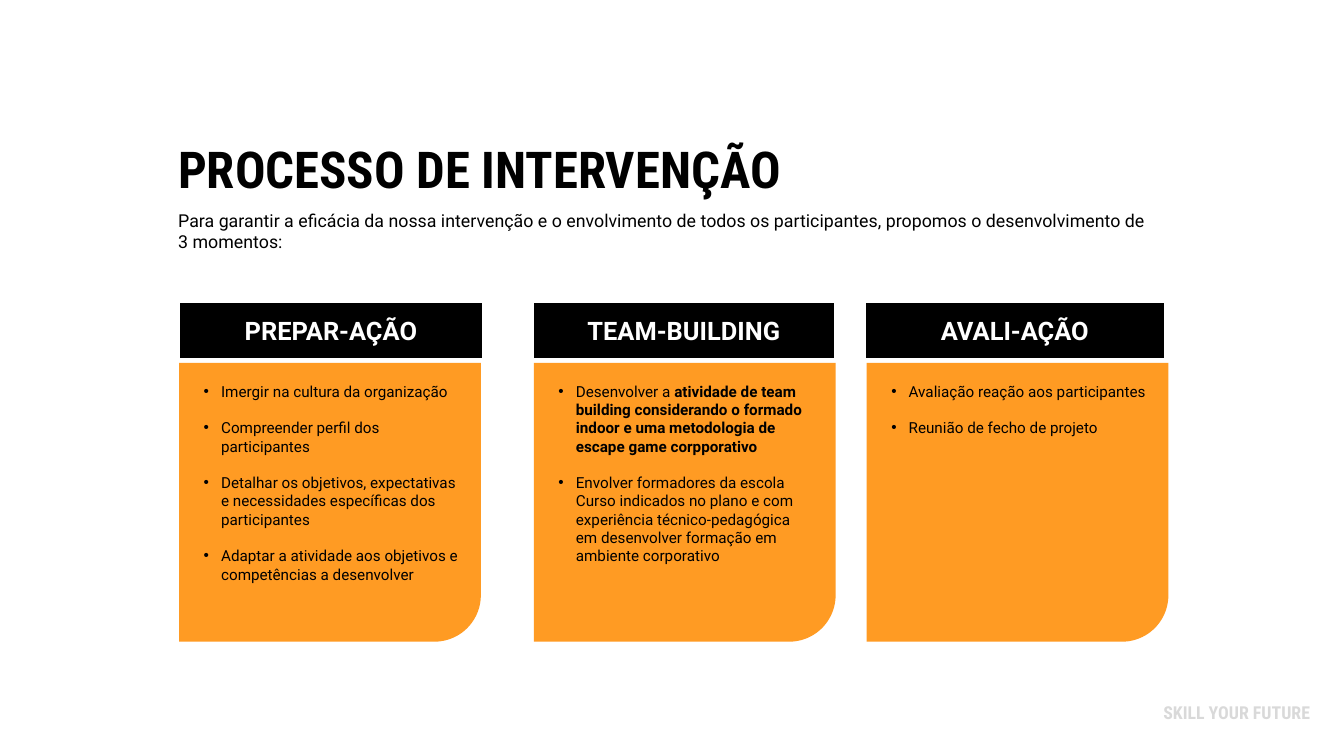
from pptx import Presentation
from pptx.dml.color import RGBColor
from pptx.enum import shapes, text
from pptx.oxml import ns
from pptx.util import Inches, Pt
from lxml import etree

BLACK = RGBColor(0x00, 0x00, 0x00)
WHITE = RGBColor(0xFF, 0xFF, 0xFF)
ORANGE = RGBColor(0xFF, 0x9B, 0x23)
GREY = RGBColor(0xD9, 0xD9, 0xD9)

# Card left, header left, header width, heading, items as (text, bold) spans
MOMENTS = [
    (1.96, 1.95, 3.34, "PREPAR-AÇÃO", [
        [("Imergir na cultura da organização", False)],
        [("Compreender perfil dos participantes", False)],
        [("Detalhar os objetivos, expectativas e necessidades específicas "
          "dos participantes", False)],
        [("Adaptar a atividade aos objetivos e competências a desenvolver", False)],
    ]),
    (5.84, 5.82, 3.32, "TEAM-BUILDING", [
        [("Desenvolver a ", False),
         ("atividade de team building considerando o formado indoor e uma "
          "metodologia de escape game corpporativo", True)],
        [("Envolver formadores da escola Curso indicados no plano e com "
          "experiência técnico-pedagógica em desenvolver formação em "
          "ambiente corporativo", False)],
    ]),
    (9.48, 9.45, 3.3, "AVALI-AÇÃO", [
        [("Avaliação reação aos participantes", False)],
        [("Reunião de fecho de projeto", False)],
    ]),
]


def style(span, size, name="Roboto", color=BLACK, bold=False):
    span.font.size = Pt(size)
    span.font.name = name
    span.font.color.rgb = color
    span.font.bold = bold


def add_text_box(page, left, top, width, height):
    box = page.shapes.add_textbox(*map(Inches, (left, top, width, height)))
    box.text_frame.word_wrap = True
    return box


def add_line_of_text(page, place, words, size, align=text.PP_ALIGN.LEFT, **look):
    para = add_text_box(page, *place).text_frame.paragraphs[0]
    para.text = words
    para.alignment = align
    style(para.runs[0], size, **look)


def add_block(page, kind, place, color):
    block = page.shapes.add_shape(kind, *map(Inches, place))
    block.shadow.inherit = False
    block.fill.solid()
    block.fill.fore_color.rgb = color
    block.line.fill.background()
    return block


def add_bullet(para):
    props = para._p.get_or_add_pPr()
    props.set("marL", str(Inches(0.19)))
    props.set("indent", str(-Inches(0.19)))
    etree.SubElement(props, ns.qn("a:buFont")).set("typeface", "Arial")
    etree.SubElement(props, ns.qn("a:buChar")).set("char", "•")


def add_header(page, left, top, width, heading):
    header = add_block(page, shapes.MSO_SHAPE.RECTANGLE, (left, top, width, 0.65), BLACK)
    header.line.color.rgb = WHITE
    header.line.width = Pt(3)
    header.text_frame.vertical_anchor = text.MSO_ANCHOR.MIDDLE
    para = header.text_frame.paragraphs[0]
    para.text = heading
    para.alignment = text.PP_ALIGN.CENTER
    style(para.runs[0], 20, color=WHITE, bold=True)


def add_card(page, left, top, items):
    # Panel with its rounded corner at the bottom right
    panel = add_block(page, shapes.MSO_SHAPE.ROUND_1_RECTANGLE,
                      (left, top, 3.3, 3.05), ORANGE)
    panel._element.spPr.find(ns.qn("a:xfrm")).set("flipV", "1")

    # Bulleted items, one line apart
    frame = add_text_box(page, left + 0.17, top + 0.16, 2.99, 2.52).text_frame
    for index, spans in enumerate(items):
        para = frame.add_paragraph() if index else frame.paragraphs[0]
        add_bullet(para)
        if index:
            para.space_before = Pt(14.4)
        for words, bold in spans:
            span = para.add_run()
            span.text = words
            style(span, 12, bold=bold)


def add_process_slide(deck):
    page = deck.slides.add_slide(deck.slide_layouts[6])

    # Title and introduction
    add_line_of_text(page, (1.85, 1.46, 8.93, 0.77), "PROCESSO DE INTERVENÇÃO", 40,
                     name="Roboto Condensed", bold=True)
    add_line_of_text(page, (1.85, 2.24, 10.78, 0.57),
                     "Para garantir a eficácia da nossa intervenção e o envolvimento de "
                     "todos os participantes, propomos o desenvolvimento de 3 momentos:", 14)

    # The three moments
    for card_left, header_left, header_width, heading, items in MOMENTS:
        add_header(page, header_left, 3.29, header_width, heading)
        add_card(page, card_left, 3.97, items)

    # Footer
    add_line_of_text(page, (12.2, 7.63, 2.23, 0.34), "SKILL YOUR FUTURE", 14,
                     text.PP_ALIGN.RIGHT, name="Roboto Condensed", color=GREY, bold=True)


def main():
    deck = Presentation()
    deck.slide_width = Inches(14.7)
    deck.slide_height = Inches(8.27)
    add_process_slide(deck)
    deck.save("out.pptx")


if __name__ == "__main__":
    main()
